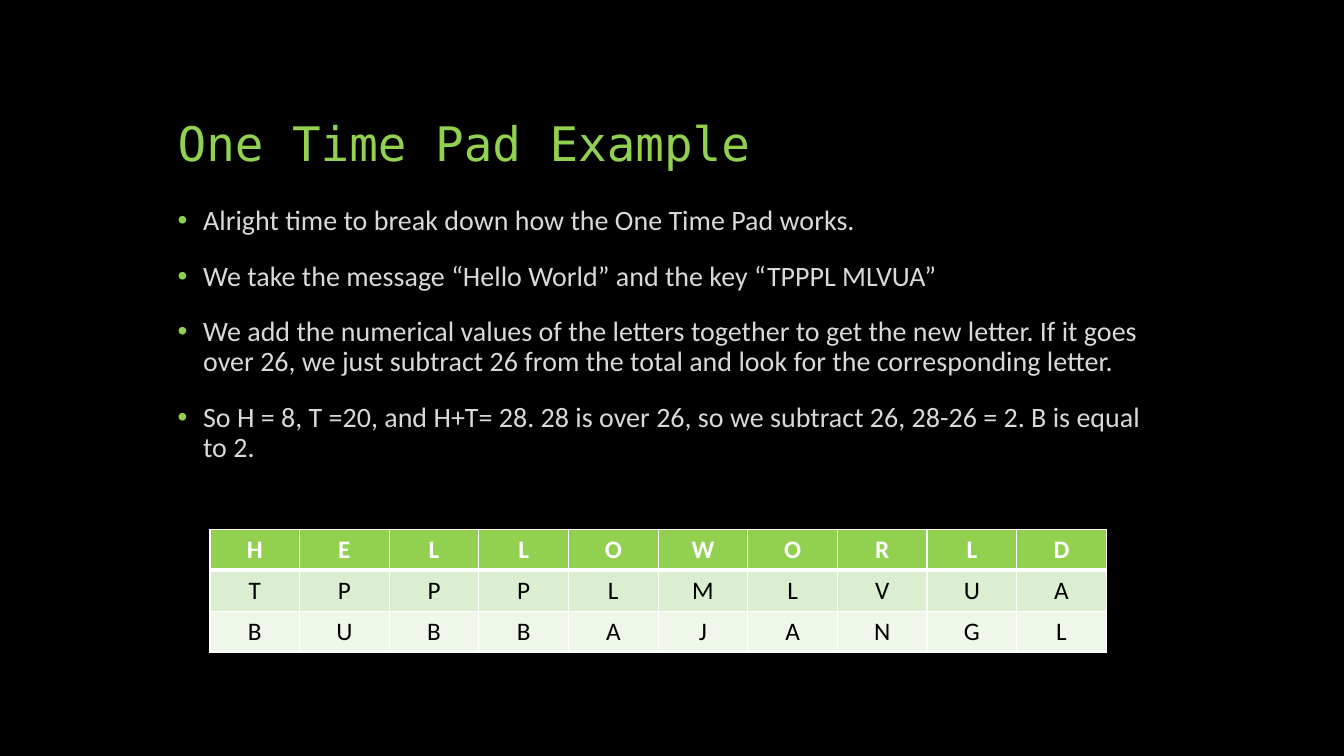
from dataclasses import dataclass

from lxml.etree import SubElement
from pptx import Presentation
from pptx.dml.color import RGBColor
from pptx.enum.text import MSO_ANCHOR as Anchor, PP_ALIGN as Align
from pptx.oxml import parse_xml
from pptx.oxml.ns import nsdecls, qn
from pptx.slide import Slide
from pptx.table import _Cell as Cell
from pptx.text.text import _Paragraph as Paragraph
from pptx.util import Cm, Pt

BLACK = RGBColor(0x00, 0x00, 0x00)
WHITE = RGBColor(0xFF, 0xFF, 0xFF)
GREEN = RGBColor(0x92, 0xD0, 0x50)
LIGHT_GREY = RGBColor(0xD9, 0xD9, 0xD9)
PALE_GREEN = RGBColor(0xDC, 0xEE, 0xD0)
FAINT_GREEN = RGBColor(0xEE, 0xF7, 0xE9)

BULLET_INDENT = Cm(0.64)
COLUMN_WIDTH, ROW_HEIGHT = Cm(2.26), Cm(1.03)
THIN, THICK = Pt(1), Pt(3)


@dataclass
class TextStyle:
    font: dict
    color: RGBColor
    paragraph: dict


@dataclass
class TextBlock:
    top: Cm
    height: Cm
    anchor: Anchor
    style: TextStyle
    lines: list[str]
    bulleted: bool = False


@dataclass
class LetterRow:
    letters: str
    fill: RGBColor
    color: RGBColor
    bold: bool
    top_border: Pt
    bottom_border: Pt


TITLE_STYLE = TextStyle(
    {"name": "DejaVu Sans Mono", "size": Pt(34)}, GREEN, {"line_spacing": 0.9})
BODY_STYLE = TextStyle(
    {"name": "Calibri", "size": Pt(20)}, LIGHT_GREY,
    {"line_spacing": 0.9, "space_before": Pt(18)})

BLOCKS = [
    TextBlock(Cm(1.27), Cm(3.18), Anchor.BOTTOM, TITLE_STYLE, ["One Time Pad Example"]),
    TextBlock(Cm(5.08), Cm(11.86), Anchor.TOP, BODY_STYLE, [
        "Alright time to break down how the One Time Pad works.",
        "We take the message “Hello World” and the key “TPPPL MLVUA”",
        "We add the numerical values of the letters together to get the new letter. "
        "If it goes over 26, we just subtract 26 from the total and look for the "
        "corresponding letter.",
        "So H = 8, T =20, and H+T= 28. 28 is over 26, so we subtract 26, "
        "28-26 = 2. B is equal to 2.",
    ], bulleted=True),
]

ROWS = [
    LetterRow("HELLOWORLD", GREEN, WHITE, True, THIN, THICK),
    LetterRow("TPPPLMLVUA", PALE_GREEN, BLACK, False, THICK, THIN),
    LetterRow("BUBBAJANGL", FAINT_GREEN, BLACK, False, THIN, THIN),
]


def write(para: Paragraph, text: str, style: TextStyle) -> None:
    for name, value in style.paragraph.items():
        setattr(para, name, value)
    span = para.add_run()
    span.text = text
    for name, value in style.font.items():
        setattr(span.font, name, value)
    span.font.color.rgb = style.color


def add_bullet(para: Paragraph) -> None:
    properties = para._p.get_or_add_pPr()
    properties.set("marL", str(BULLET_INDENT))
    properties.set("indent", str(-BULLET_INDENT))
    color = SubElement(properties, qn("a:buClr"))
    SubElement(color, qn("a:srgbClr"), val=str(GREEN))
    SubElement(properties, qn("a:buFont"), typeface="Arial")
    SubElement(properties, qn("a:buChar"), char="•")


def draw_block(page: Slide, block: TextBlock) -> None:
    box = page.shapes.add_textbox(Cm(4.23), block.top, Cm(25.4), block.height)
    frame = box.text_frame
    frame.word_wrap = True
    frame.vertical_anchor = block.anchor
    for index, line in enumerate(block.lines):
        para = frame.add_paragraph() if index else frame.paragraphs[0]
        write(para, line, block.style)
        if block.bulleted:
            add_bullet(para)


def set_borders(cell: Cell, row: LetterRow) -> None:
    widths = {"L": THIN, "R": THIN, "T": row.top_border, "B": row.bottom_border}
    properties = cell._tc.get_or_add_tcPr()
    for index, (side, width) in enumerate(widths.items()):
        properties.insert(index, parse_xml(
            f'<a:ln{side} {nsdecls("a")} w="{width}"><a:solidFill>'
            f'<a:srgbClr val="{WHITE}"/></a:solidFill></a:ln{side}>'))


def draw_table(page: Slide, rows: list[LetterRow]) -> None:
    columns = len(rows[0].letters)
    table = page.shapes.add_table(
        len(rows), columns, Cm(5.29), Cm(13.34),
        COLUMN_WIDTH * columns, ROW_HEIGHT * len(rows)).table
    for row, table_row in zip(rows, table.rows):
        style = TextStyle(
            {"name": "Calibri", "size": Pt(18), "bold": row.bold},
            row.color, {"alignment": Align.CENTER})
        for letter, cell in zip(row.letters, table_row.cells):
            cell.fill.solid()
            cell.fill.fore_color.rgb = row.fill
            set_borders(cell, row)
            write(cell.text_frame.paragraphs[0], letter, style)


# Deck and black page
deck = Presentation()
deck.slide_width, deck.slide_height = Cm(33.87), Cm(19.05)
page = deck.slides.add_slide(deck.slide_layouts[6])
page.background.fill.solid()
page.background.fill.fore_color.rgb = BLACK

# Title and explanation
for block in BLOCKS:
    draw_block(page, block)

# Message, key and cipher letters
draw_table(page, ROWS)

deck.save("out.pptx")
